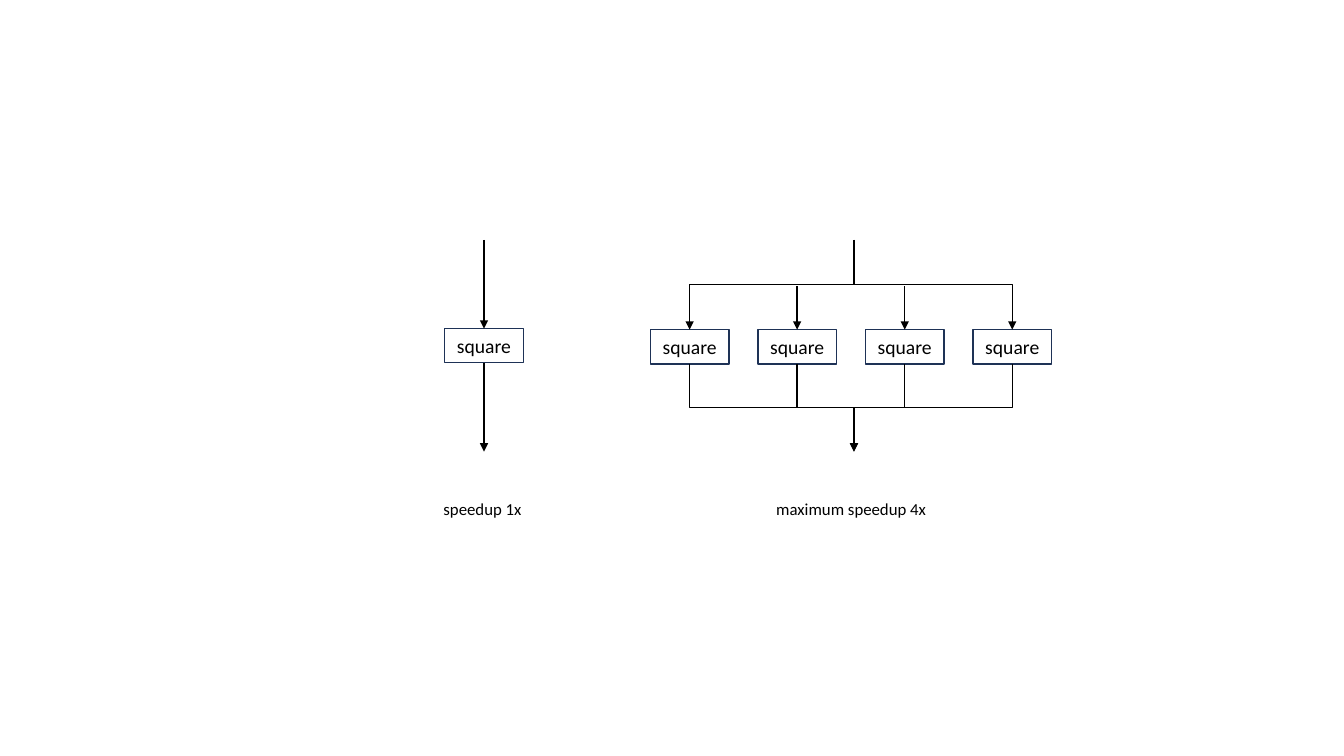
from dataclasses import dataclass

from lxml import etree
from pptx import Presentation
from pptx.dml.color import RGBColor
from pptx.enum.shapes import MSO_CONNECTOR, MSO_SHAPE
from pptx.enum.text import MSO_ANCHOR, MSO_AUTO_SIZE, PP_ALIGN
from pptx.oxml.ns import qn
from pptx.util import Pt

STRAIGHT, ELBOW = MSO_CONNECTOR.STRAIGHT, MSO_CONNECTOR.ELBOW
RECTANGLE = MSO_SHAPE.RECTANGLE
MIDDLE, CENTER = MSO_ANCHOR.MIDDLE, PP_ALIGN.CENTER
GROW = MSO_AUTO_SIZE.SHAPE_TO_FIT_TEXT
TOP, BOTTOM = 0, 2
EMU_PER_PX = 9144
BLANK_LAYOUT = 6


@dataclass(frozen=True)
class Theme:
    font: str = "Calibri"
    ink: RGBColor = RGBColor(0x00, 0x00, 0x00)
    border: RGBColor = RGBColor(0x1E, 0x32, 0x56)
    node_size: Pt = Pt(14)
    caption_size: Pt = Pt(12)
    line_width: Pt = Pt(1)


THEME = Theme()
NODE_WIDTH, NODE_HEIGHT = 78, 34
CAPTION_HEIGHT = 30


def px(*lengths):
    return [round(length * EMU_PER_PX) for length in lengths]


def apply_format(target, values):
    for name, value in values.items():
        setattr(target, name, value)


def write(shape, text, size, **frame_format):
    frame = shape.text_frame
    apply_format(frame, frame_format)
    paragraph = frame.paragraphs[0]
    paragraph.text = text
    apply_format(paragraph.font, {"name": THEME.font, "size": size})
    paragraph.font.color.rgb = THEME.ink
    return paragraph


def add_node(slide, center, top):
    box = px(center - NODE_WIDTH / 2, top, NODE_WIDTH, NODE_HEIGHT)
    shape = slide.shapes.add_shape(RECTANGLE, *box)
    shape.shadow.inherit = False
    shape.fill.background()
    shape.line.color.rgb = THEME.border
    shape.line.width = THEME.line_width
    paragraph = write(shape, "square", THEME.node_size,
                      word_wrap=False, vertical_anchor=MIDDLE)
    paragraph.alignment = CENTER
    return shape


def add_caption(slide, left, top, width, text):
    shape = slide.shapes.add_textbox(*px(left, top, width, CAPTION_HEIGHT))
    write(shape, text, THEME.caption_size, word_wrap=True, auto_size=GROW)


def add_line(slide, start, end, kind=STRAIGHT, arrow=True):
    connector = slide.shapes.add_connector(kind, *px(*start, *end))
    connector.line.color.rgb = THEME.ink
    connector.line.width = THEME.line_width
    properties = connector.element.spPr
    if arrow:
        outline = properties.find(qn("a:ln"))
        etree.SubElement(outline, qn("a:tailEnd"), type="triangle")
    etree.SubElement(properties, qn("a:effectLst"))
    return connector


def add_vertical_elbow(slide, start, end):
    connector = add_line(slide, start, end, ELBOW)
    (x1, y1), (x2, y2) = start, end
    width, height = y2 - y1, abs(x2 - x1)
    left, top, width, height = px((x1 + x2 - width) / 2,
                                  (y1 + y2 - height) / 2, width, height)
    apply_format(connector, {"left": left, "top": top,
                             "width": width, "height": height})
    rightward = x2 > x1
    transform = connector.element.spPr.find(qn("a:xfrm"))
    transform.set("rot", "16200000" if rightward else "5400000")
    transform.set("flipH", "1" if rightward else "0")
    transform.set("flipV", "0")


def draw_serial(slide, left, top, width, height):
    center = left + width / 2
    node_top, bottom = top + 88, top + 210
    node = add_node(slide, center, node_top)
    incoming = add_line(slide, (center, top), (center, node_top))
    incoming.end_connect(node, TOP)
    outgoing = add_line(slide, (center, node_top + NODE_HEIGHT), (center, bottom))
    outgoing.begin_connect(node, BOTTOM)
    add_caption(slide, left, top + height - CAPTION_HEIGHT, width, "speedup 1x")


def draw_parallel(slide, left, top, width, height):
    node_top, bottom = top + 89, top + 210
    node_bottom = node_top + NODE_HEIGHT
    fork_top, join = top + 46, (node_bottom + bottom) / 2
    hub = left + 202
    pitch = (width - NODE_WIDTH) / 3
    centers = [left + NODE_WIDTH / 2 + index * pitch for index in range(4)]
    nodes = [add_node(slide, center, node_top) for center in centers]
    for center in (centers[0], centers[-1]):
        add_vertical_elbow(slide, (hub, top), (center, node_top))
        add_vertical_elbow(slide, (center, node_bottom), (hub, bottom))
    for center, node in zip(centers[1:-1], nodes[1:-1]):
        incoming = add_line(slide, (center, fork_top), (center, node_top))
        incoming.end_connect(node, TOP)
        outgoing = add_line(slide, (center, node_bottom), (center, join), arrow=False)
        outgoing.begin_connect(node, BOTTOM)
    add_caption(slide, left + 115, top + height - CAPTION_HEIGHT, 174,
                "maximum speedup 4x")


def main():
    presentation = Presentation()
    presentation.slide_width, presentation.slide_height = px(1333, 750)
    slide = presentation.slides.add_slide(presentation.slide_layouts[BLANK_LAYOUT])
    draw_serial(slide, 430, 238, 100, 282)
    draw_parallel(slide, 645, 238, 398, 282)
    presentation.save("out.pptx")


if __name__ == "__main__":
    main()
